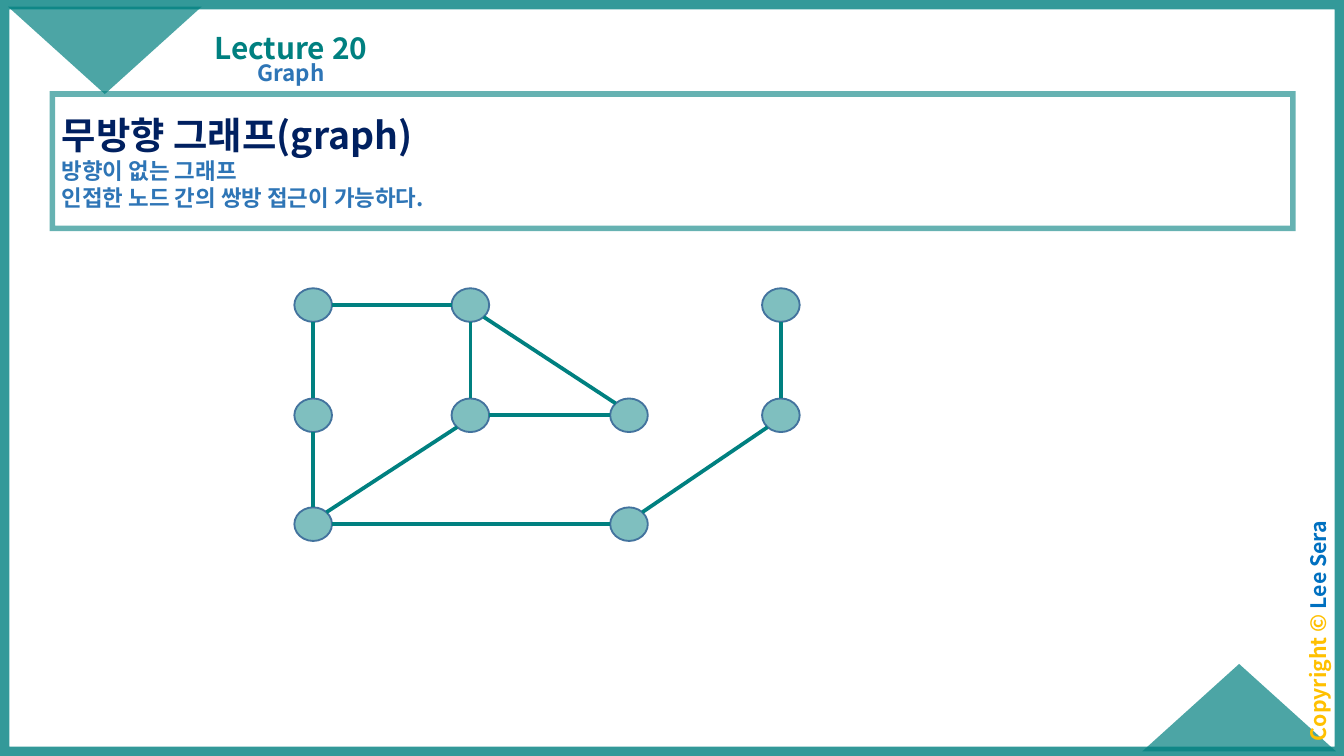
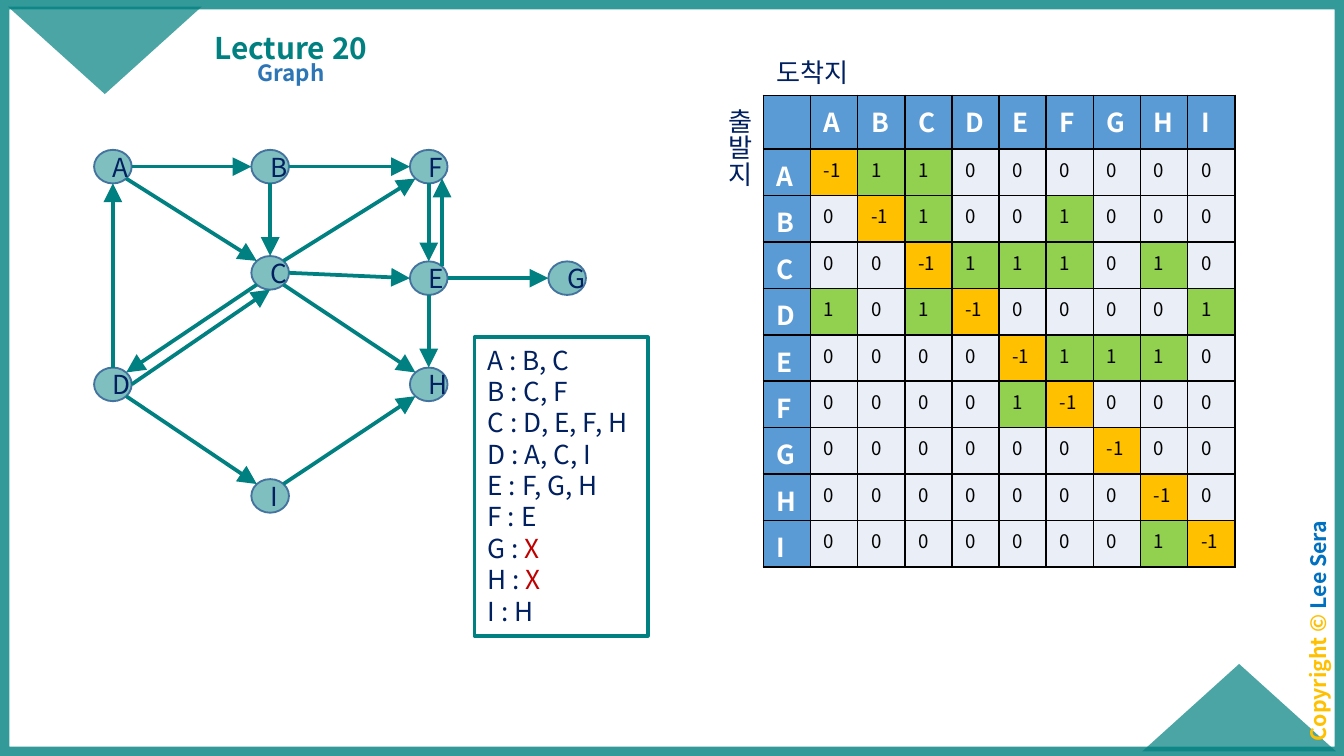
"""Build two lecture slides on undirected and directed graphs."""
from dataclasses import dataclass
from math import atan2, cos, pi, sin

from lxml.etree import SubElement
from pptx import Presentation
from pptx.dml.color import RGBColor
from pptx.enum.shapes import MSO_CONNECTOR, MSO_SHAPE
from pptx.enum.text import MSO_ANCHOR, MSO_AUTO_SIZE, PP_ALIGN
from pptx.oxml.ns import qn
from pptx.util import Inches, Pt


@dataclass(frozen=True)
class Theme:
    font: str = "Noto Sans CJK KR"
    teal: str = "008080"
    navy: str = "002060"
    blue: str = "2E75B6"
    author: str = "0070C0"
    gold: str = "FFC000"
    green: str = "92D050"
    red: str = "C00000"
    outline: str = "43739E"
    header: str = "5B9BD5"
    cell: str = "EAEFF7"
    white: str = "FFFFFF"
    black: str = "000000"
    heading: float = 20
    title: float = 16
    body: float = 14
    subtitle: float = 12
    credit: float = 11.4
    value: float = 10


theme = Theme()


def write_text(frame, paragraphs, size=theme.body, color=theme.navy, bold=False, align=PP_ALIGN.LEFT,
               spacing=None, before=None, anchor=MSO_ANCHOR.TOP, tight=False, grow=False):
    frame.word_wrap = True
    frame.vertical_anchor = anchor
    if grow:
        frame.auto_size = MSO_AUTO_SIZE.SHAPE_TO_FIT_TEXT
    if tight:
        frame.margin_left = frame.margin_right = Inches(0.07)
        frame.margin_top = frame.margin_bottom = Inches(0.04)
    for index, runs in enumerate(paragraphs):
        paragraph = frame.add_paragraph() if index else frame.paragraphs[0]
        paragraph.alignment = align
        paragraph.line_spacing = spacing
        paragraph.space_before = before
        for text, *custom in [(runs,)] if isinstance(runs, str) else runs:
            run = paragraph.add_run()
            run.text = text
            run.font.name = theme.font
            run.font.bold = bold
            run.font.color.rgb = RGBColor.from_string(custom[0] if custom else color)
            run.font.size = Pt(custom[1] if len(custom) > 1 else size)
            SubElement(run._r.get_or_add_rPr(), qn("a:ea"), typeface=theme.font)


def add_box(shapes, kind, box, fill=None, line=None, width=1, opacity=100, rotation=0):
    shape = shapes.add_shape(kind, *map(Inches, box))
    shape.shadow.inherit = False
    shape.rotation = rotation
    if fill:
        shape.fill.solid()
        shape.fill.fore_color.rgb = RGBColor.from_string(fill)
    else:
        shape.fill.background()
    if line:
        shape.line.color.rgb = RGBColor.from_string(line)
        shape.line.width = Pt(width)
    else:
        shape.line.fill.background()
    if opacity < 100:
        first_color = next(shape._element.spPr.iter(qn("a:srgbClr")))
        SubElement(first_color, qn("a:alpha"), val=str(opacity * 1000))
    return shape


slide_width, slide_height = 10, 5.625
presentation = Presentation()
presentation.slide_width = Inches(slide_width)
presentation.slide_height = Inches(slide_height)

for _ in range(2):
    slide = presentation.slides.add_slide(presentation.slide_layouts[6])
    add_box(slide.shapes, MSO_SHAPE.RECTANGLE, (0, 0, slide_width, slide_height),
            line=theme.teal, width=10, opacity=80)
    for left, top, rotation in ((8.5, 4.94, 0), (0.06, 0.05, 180)):
        add_box(slide.shapes, MSO_SHAPE.ISOSCELES_TRIANGLE, (left, top, 1.44, 0.65),
                fill=theme.teal, opacity=70, rotation=rotation)
    credit = slide.shapes.add_textbox(Inches(8.92), Inches(4.57), Inches(1.86), Inches(0.25))
    credit.rotation = 270
    write_text(credit.text_frame, [[("Copyright © ", theme.gold), ("Lee Sera", theme.author)]],
               size=theme.credit, bold=True, align=PP_ALIGN.CENTER, spacing=0.7, before=Pt(10), tight=True)
    title = slide.shapes.add_textbox(Inches(1.4), Inches(0.06), Inches(1.53), Inches(0.47))
    write_text(title.text_frame, ["Lecture 20"], size=theme.title, color=theme.teal, bold=True,
               align=PP_ALIGN.CENTER, spacing=0.9, anchor=MSO_ANCHOR.BOTTOM, tight=True)
    subtitle = slide.shapes.add_textbox(Inches(1.1), Inches(0.42), Inches(2.13), Inches(0.34))
    write_text(subtitle.text_frame, ["Graph"], size=theme.subtitle, color=theme.blue, bold=True,
               align=PP_ALIGN.CENTER, spacing=0.9, before=Pt(7.5), tight=True)

undirected_slide, directed_slide = presentation.slides

definition = add_box(undirected_slide.shapes, MSO_SHAPE.RECTANGLE, (0.39, 0.7, 9.23, 1),
                     line=theme.teal, width=3, opacity=60)
SubElement(definition._element.spPr.find(qn("a:ln")), qn("a:miter"), lim="800000")
write_text(definition.text_frame,
           [[("무방향 그래프(graph)", theme.navy, theme.heading)],
            "방향이 없는 그래프",
            "인접한 노드 간의 쌍방 접근이 가능하다."],
           size=theme.subtitle, color=theme.blue, bold=True, anchor=MSO_ANCHOR.MIDDLE, tight=True)

undirected_nodes = {
    "a": (2.33, 2.27), "b": (3.5, 2.27), "c": (5.81, 2.27),
    "d": (2.33, 3.09), "e": (3.5, 3.09), "f": (4.68, 3.09), "g": (5.81, 3.09),
    "h": (2.33, 3.9), "i": (4.68, 3.9),
}
undirected_edges = ["ab", "ad", "be", "bf", "ef", "eh", "dh", "hi", "cg", "gi"]

directed_nodes = {
    "A": (0.84, 1.24), "B": (2.01, 1.24), "C": (2.01, 2.03),
    "D": (0.84, 2.86), "E": (3.19, 2.07), "F": (3.19, 1.24),
    "G": (4.22, 2.07), "H": (3.19, 2.86), "I": (2.01, 3.69),
}
neighbors = {"A": "BC", "B": "CF", "C": "DEFH", "D": "ACI", "E": "FGH", "F": "E", "G": "", "H": "", "I": "H"}
directed_edges = [source + target for source, targets in neighbors.items() for target in targets]
return_angles = {"DC": (0, pi / 2), "EF": (-pi / 4, pi / 4)}

node_width, node_height = 0.28, 0.25
for shapes, nodes, edges, directed in (
    (undirected_slide.shapes, undirected_nodes, undirected_edges, False),
    (directed_slide.shapes.add_group_shape().shapes, directed_nodes, directed_edges, True),
):
    for name, (x, y) in nodes.items():
        node = add_box(shapes, MSO_SHAPE.OVAL, (x - node_width / 2, y - node_height / 2, node_width, node_height),
                       fill=theme.teal, opacity=50, line=theme.outline)
        if directed:
            write_text(node.text_frame, [name], align=PP_ALIGN.CENTER, anchor=MSO_ANCHOR.MIDDLE)
    for edge in edges:
        (source_x, source_y), (target_x, target_y) = nodes[edge[0]], nodes[edge[1]]
        heading = round(atan2(target_y - source_y, target_x - source_x) / (pi / 4)) * pi / 4
        leave, arrive = return_angles.get(edge, (heading, heading + pi))
        connector = shapes.add_connector(
            MSO_CONNECTOR.STRAIGHT,
            Inches(target_x + node_width / 2 * cos(arrive)), Inches(target_y + node_height / 2 * sin(arrive)),
            Inches(source_x + node_width / 2 * cos(leave)), Inches(source_y + node_height / 2 * sin(leave)))
        connector.line.color.rgb = RGBColor.from_string(theme.teal)
        connector.line.width = Pt(2)
        properties = connector._element.spPr
        if directed:
            SubElement(properties.find(qn("a:ln")), qn("a:headEnd"), type="triangle", w="lg", len="lg")
        SubElement(properties, qn("a:effectLst"))

adjacency_list = add_box(directed_slide.shapes, MSO_SHAPE.RECTANGLE, (3.53, 2.51, 1.29, 2.22),
                         line=theme.teal, width=2)
write_text(adjacency_list.text_frame,
           [f"{name} : {', '.join(targets)}" if targets else [(f"{name} : ",), ("X", theme.red)]
            for name, targets in neighbors.items()], grow=True)

names = list(neighbors)
size = len(names) + 1
table_size, header_height = 3.51, 0.4
matrix = directed_slide.shapes.add_table(size, size, Inches(5.68), Inches(0.71),
                                         Inches(table_size), Inches(table_size)).table
for column in matrix.columns:
    column.width = Inches(table_size / size)
for index, row in enumerate(matrix.rows):
    row.height = Inches((table_size - header_height) / len(names) if index else header_height)
for row_index, source in enumerate([""] + names):
    for column_index, target in enumerate([""] + names):
        cell = matrix.cell(row_index, column_index)
        if not (source and target):
            text, fill = source or target, theme.header
        elif source == target:
            text, fill = "-1", theme.gold
        elif target in neighbors[source]:
            text, fill = "1", theme.green
        else:
            text, fill = "0", theme.cell
        is_value = bool(source and target)
        cell_properties = cell._tc.get_or_add_tcPr()
        for side in ("a:lnL", "a:lnR", "a:lnT", "a:lnB"):
            border = SubElement(cell_properties, qn(side), w=str(Pt(1)))
            SubElement(SubElement(border, qn("a:solidFill")), qn("a:srgbClr"), val=theme.black)
        cell.fill.solid()
        cell.fill.fore_color.rgb = RGBColor.from_string(fill)
        write_text(cell.text_frame, [text], size=theme.value if is_value else theme.body,
                   color=theme.black if is_value else theme.white, bold=not is_value)

for text, box, direction in (("도착지", (5.68, 0.37, 1.76, 0.34), "horz"),
                             ("출발지", (5.23, 0.71, 0.44, 1.81), "eaVert")):
    label = directed_slide.shapes.add_textbox(*map(Inches, box))
    write_text(label.text_frame, [text], grow=True)
    label.text_frame._txBody.bodyPr.set("vert", direction)

presentation.save("out.pptx")
